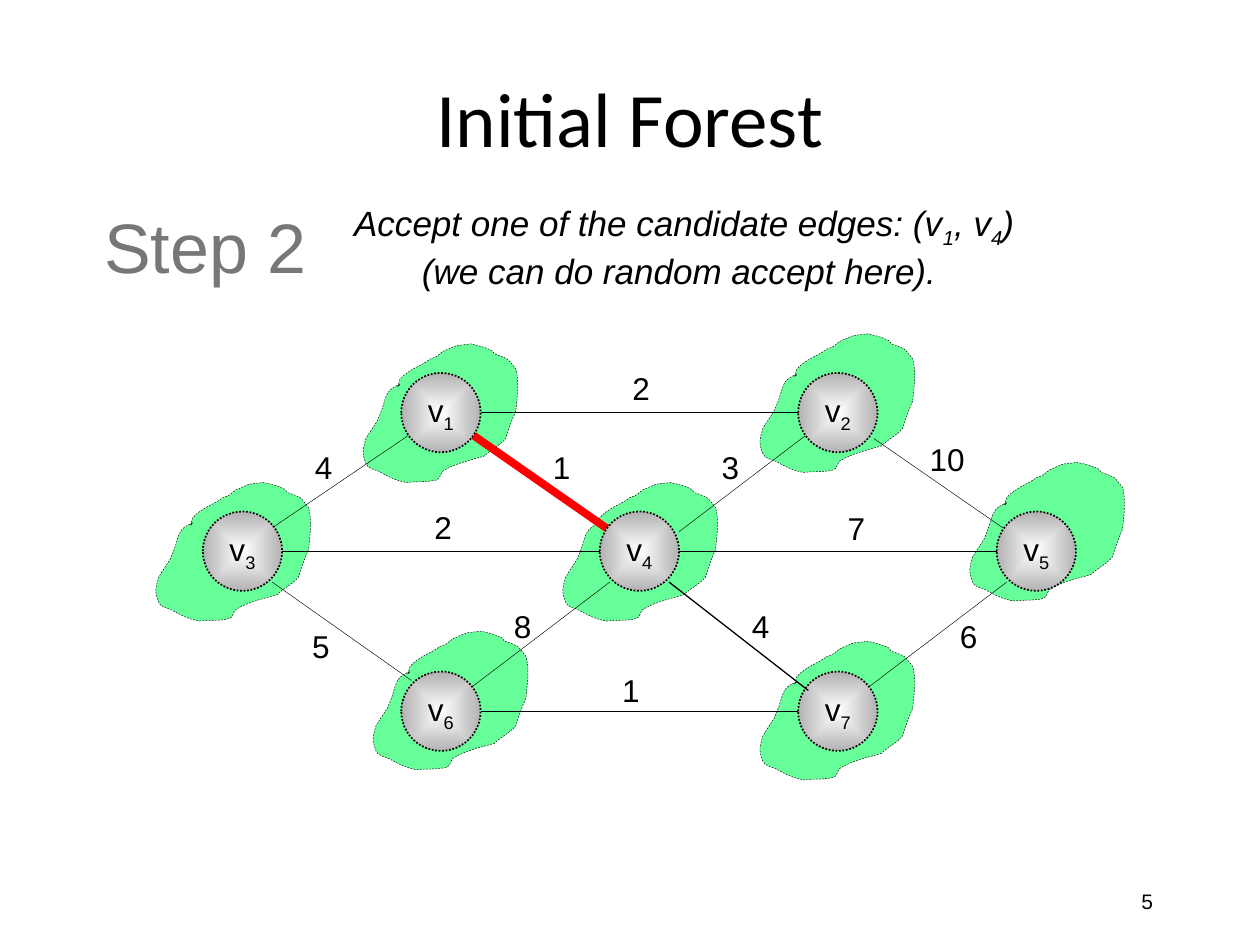
from dataclasses import dataclass

from lxml import etree
from pptx import Presentation
from pptx.dml.color import RGBColor
from pptx.enum.dml import MSO_LINE
from pptx.enum.shapes import MSO_CONNECTOR, MSO_SHAPE
from pptx.enum.text import MSO_ANCHOR, MSO_AUTO_SIZE, PP_ALIGN
from pptx.oxml.ns import qn
from pptx.util import Inches, Pt

LEFT, MID, RIGHT = PP_ALIGN.LEFT, PP_ALIGN.CENTER, PP_ALIGN.RIGHT
CENTER = MSO_ANCHOR.MIDDLE
GROW, FIXED = MSO_AUTO_SIZE.SHAPE_TO_FIT_TEXT, MSO_AUTO_SIZE.NONE
DASH, DOTS = MSO_LINE.DASH, MSO_LINE.ROUND_DOT
OVAL, LINE = MSO_SHAPE.OVAL, MSO_CONNECTOR.STRAIGHT


@dataclass(frozen=True)
class Theme:
    ink: str = "000000"
    step: str = "777777"
    tree: str = "66FF99"
    pick: str = "FF0000"
    light: str = "FFFFFF"
    dark: str = "B2B2B2"
    head: str = "Calibri"
    body: str = "Arial"
    title: int = 44
    big: int = 40
    note: int = 20
    text: int = 18
    page: int = 12


T = Theme()

# Node grid: five even columns, three rows
COLS = [1.61 + 6.3 * i / 4 for i in range(5)]
ROWS = [2.96, 4.06, 5.33]
SIZE = 0.63

# Node number: column, row, shift of its tree outline
NODES = {
    1: (1, 0, -0.32, -0.23), 2: (3, 0, -0.32, -0.31),
    3: (0, 1, -0.39, -0.23), 4: (2, 1, -0.31, -0.23),
    5: (4, 1, -0.23, -0.39), 6: (1, 2, -0.24, -0.32),
    7: (3, 2, -0.32, -0.24),
}

# Points on a node where edges meet it, from its top left corner
PORTS = {
    "w": (0, SIZE / 2), "e": (SIZE, SIZE / 2),
    "nw": (0.08, 0.15), "ne": (0.55, 0.13),
    "sw": (0.08, 0.56), "se": (0.55, 0.56),
    "top sw": (0.08, 0.48), "top se": (0.55, 0.48),
    "far ne": (SIZE, 0.16), "far se": (0.6, 0.52),
    "far nw": (0.05, 0.13), "high nw": (0.08, 0.07),
}

# Edge: node, port, node, port, weight, label place, line width
EDGES = [
    (1, "e", 2, "w", "2", (4.92, 2.88), 0.25),
    (2, "top sw", 4, "far ne", "3", (5.63, 3.51), 0.25),
    (2, "far se", 5, "far nw", "10", (7.28, 3.44), 0.25),
    (4, "w", 3, "e", "2", (3.35, 3.98), 0.25),
    (5, "w", 4, "e", "7", (6.63, 3.99), 0.25),
    (1, "top sw", 3, "ne", "4", (2.4, 3.51), 0.25),
    (4, "sw", 6, "ne", "8", (3.98, 4.77), 0.25),
    (3, "se", 6, "high nw", "5", (2.38, 4.93), 0.25),
    (7, "w", 6, "e", "1", (4.84, 5.28), 0.75),
    (5, "sw", 7, "ne", "6", (7.52, 4.85), 0.25),
]
# Edges that run over the lower nodes
TOP_EDGES = [
    (4, "se", 7, "nw", "4", (5.87, 4.77), 0.75),
    (1, "top se", 4, "nw", "1", (4.29, 3.51), 4.5),
]

# Tree outline in hundredths of an inch: start, then curves of three points
START = (31, 32)
CURVES = [
    (17, 38), (22, 41), (13, 61), (10, 66), (7, 70), (4, 75),
    (2, 83), (0, 85), (4, 95), (5, 99), (12, 100), (14, 101),
    (23, 106), (27, 108), (36, 110), (44, 109), (52, 110), (60, 108),
    (63, 107), (63, 103), (65, 101), (74, 95), (88, 92), (98, 89),
    (103, 84), (110, 81), (115, 75), (117, 67), (123, 53), (123, 53),
    (124, 41), (126, 32), (123, 20), (123, 20), (117, 12), (116, 12),
    (113, 10), (106, 8), (106, 8), (105, 6), (103, 4), (101, 4),
    (97, 2), (87, 0), (87, 0), (72, 2), (79, 0), (65, 6),
    (63, 7), (62, 9), (60, 10), (59, 11), (57, 11), (55, 12),
    (47, 18), (38, 20), (31, 28), (29, 35), (28, 36), START,
]


def apply(obj, form):
    for name, value in form.items():
        setattr(obj, name, value)


def rgb(code):
    return RGBColor.from_string(code)


def write(frame, lines, size, align=LEFT, color=T.ink, font=T.body, **form):
    """Fill a frame; every second part between bars is a subscript."""
    for i, line in enumerate(lines):
        para = frame.add_paragraph() if i else frame.paragraphs[0]
        para.alignment = align
        for j, part in enumerate(line.split("|")):
            run = para.add_run()
            run.text = part
            apply(run.font, {"size": Pt(size), "name": font, **form})
            run.font.color.rgb = rgb(color)
            if j % 2:
                run.font._element.set("baseline", "-25000")


def stroke(shape, width, color=T.ink, dash=None):
    shape.line.color.rgb = rgb(color)
    apply(shape.line, {"width": Pt(width), "dash_style": dash})


def label(slide, box, lines, size, align=LEFT, color=T.ink, **form):
    frame = slide.shapes.add_textbox(*map(Inches, box)).text_frame
    apply(frame, {"word_wrap": False, "auto_size": GROW})
    write(frame, lines, size, align, color, **form)
    return frame


def corner(num):
    col, row = NODES[num][:2]
    return COLS[col], ROWS[row]


def tree(slide, num):
    x, y = corner(num)
    dx, dy = NODES[num][2:]
    pen = slide.shapes.build_freeform(*START, scale=Inches(0.01))
    pen.add_line_segments(CURVES, close=True)
    shape = pen.convert_to_shape(Inches(x + dx), Inches(y + dy))
    # Join each three straight segments into one curve
    segs = list(shape._element.iter(qn("a:lnTo")))
    for i in range(0, len(segs), 3):
        curve = etree.Element(qn("a:cubicBezTo"))
        segs[i].addprevious(curve)
        for seg in segs[i:i + 3]:
            curve.append(seg[0])
            seg.getparent().remove(seg)
    shape.shadow.inherit = False
    shape.fill.solid()
    shape.fill.fore_color.rgb = rgb(T.tree)
    stroke(shape, 0.25, dash=DASH)


def node(slide, num):
    box = (*corner(num), SIZE, SIZE)
    shape = slide.shapes.add_shape(OVAL, *map(Inches, box))
    shape.shadow.inherit = False
    shape.fill.gradient()
    for stop, color, pos in zip(shape.fill.gradient_stops, (T.light, T.dark), (0, 1)):
        stop.color.rgb = rgb(color)
        stop.position = pos
    # Shade from the centre outwards
    grad = shape._element.spPr.find(qn("a:gradFill"))
    grad.remove(grad.find(qn("a:lin")))
    way = etree.SubElement(grad, qn("a:path"), path="rect")
    etree.SubElement(way, qn("a:fillToRect"), dict.fromkeys("ltrb", "50000"))
    stroke(shape, 1, dash=DOTS)
    apply(shape.text_frame, {"word_wrap": False, "vertical_anchor": CENTER})
    write(shape.text_frame, [f"v|{num}"], T.text, MID)


def edge(slide, a, start, b, end, width, color=T.ink):
    ends = [p + d for num, port in ((a, start), (b, end))
            for p, d in zip(corner(num), PORTS[port])]
    line = slide.shapes.add_connector(LINE, *map(Inches, ends))
    stroke(line, width, color)
    etree.SubElement(line._element.spPr, qn("a:effectLst"))


def main():
    deck = Presentation()
    apply(deck, {"slide_width": Inches(10), "slide_height": Inches(7.5)})
    slide = deck.slides.add_slide(deck.slide_layouts[5])

    # Title and page number
    title = slide.shapes.title
    apply(title, dict(zip(("left", "top", "width", "height"),
                          map(Inches, (0.5, 0.3, 9, 1.25)))))
    title.text_frame.vertical_anchor = CENTER
    write(title.text_frame, ["Initial Forest"], T.title, MID, font=T.head)
    page = label(slide, (7.17, 6.98, 2.08, 0.35), ["5"], T.page, RIGHT)
    apply(page, {"word_wrap": True, "auto_size": FIXED,
                 "vertical_anchor": CENTER})

    # Graph, from back to front
    for num in (6, 4, 2, 5, 7, 3, 1):
        tree(slide, num)
    for a, start, b, end, _, _, width in EDGES:
        edge(slide, a, start, b, end, width)
    for num in (2, 5, 3, 6, 7):
        node(slide, num)
    for *_, weight, place, _ in EDGES + TOP_EDGES:
        wide = 0.2 + 0.14 * len(weight)
        label(slide, (*place, wide, 0.4), [weight], T.text)
    for a, start, b, end, _, _, width in TOP_EDGES:
        edge(slide, a, start, b, end, width, T.pick if width > 1 else T.ink)

    # Step heading, kept on one line, and its note
    label(slide, (2.71, 1.55, 5.44, 1.15),
          ["Accept one of the candidate edges: (v|1|, v|4|)",
           "(we can do random accept here). "], T.note, MID, italic=True)
    step = label(slide, (0.73, 1.57, 1.9, 0.77), ["Step 2"], T.big, color=T.step)
    apply(step, {"word_wrap": True, "auto_size": FIXED})
    for num in (1, 4):
        node(slide, num)

    deck.save("out.pptx")


if __name__ == "__main__":
    main()
